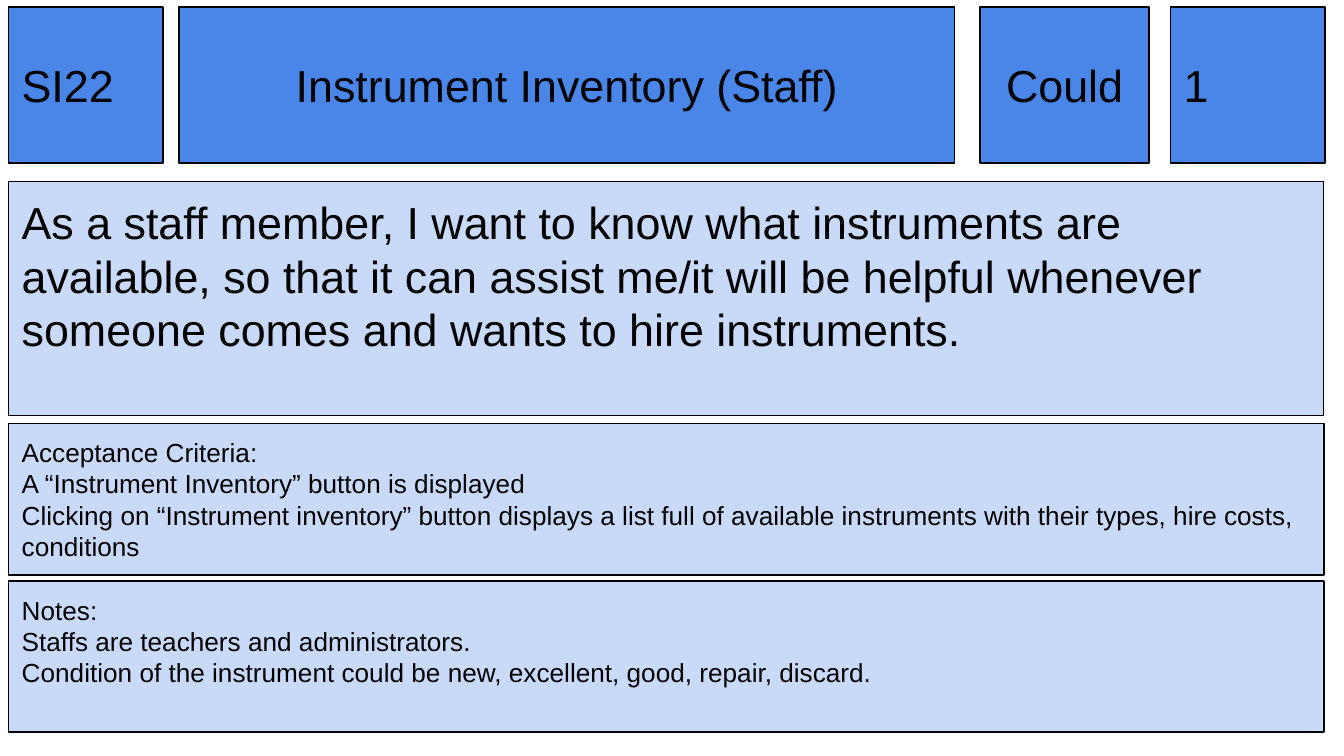
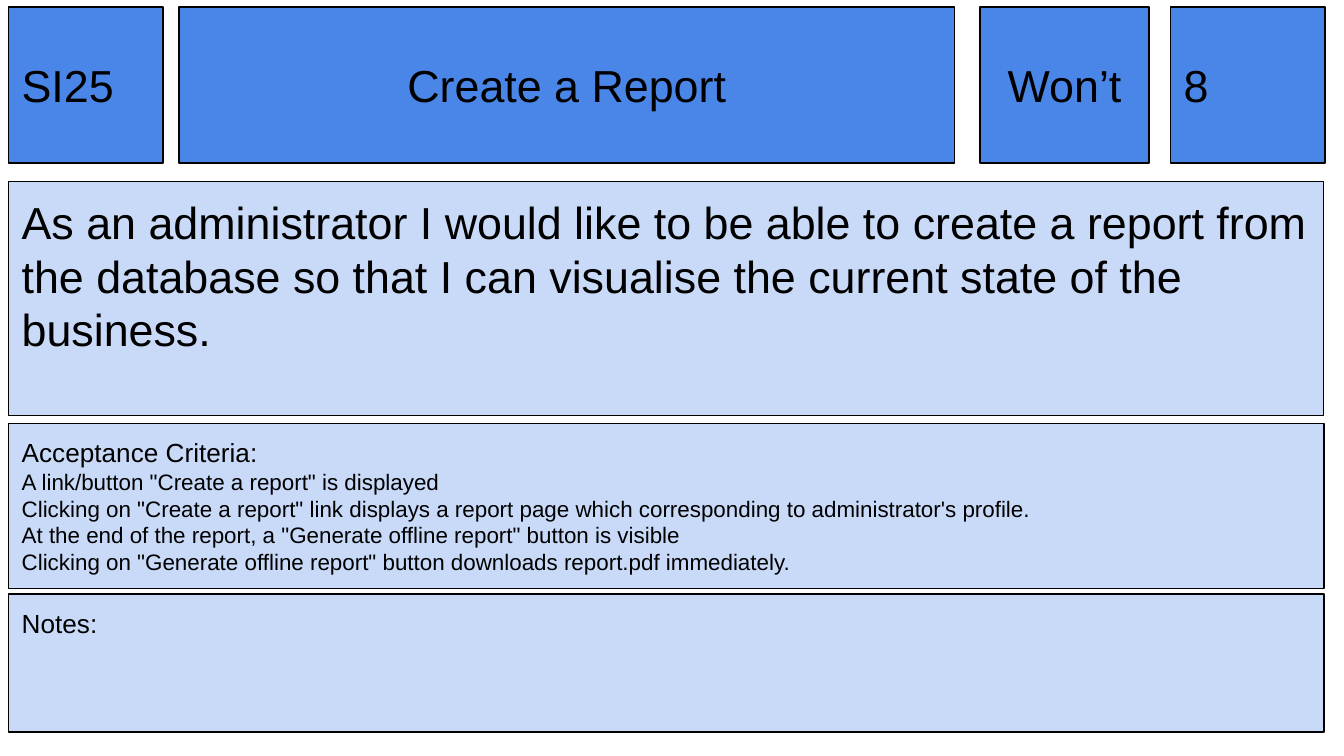
from dataclasses import dataclass

from lxml.etree import SubElement
from pptx import Presentation
from pptx.dml.color import RGBColor as RGB
from pptx.enum.shapes import MSO_SHAPE as Kind
from pptx.enum.text import MSO_ANCHOR as Anchor, MSO_AUTO_SIZE as Fit, PP_ALIGN as Align
from pptx.oxml.ns import qn
from pptx.util import Cm, Pt


@dataclass(frozen=True)
class Theme:
    font: str = "Arial"
    ink: RGB = RGB(0x00, 0x00, 0x00)
    band: RGB = RGB(0x4A, 0x86, 0xE8)
    pale: RGB = RGB(0xC9, 0xDA, 0xF8)
    large: int = 24
    body: int = 14
    small: int = 12
    rule: float = 0.75
    inset: float = 0.25


# Card grid, in cm
LEFT, WIDTH = 0.16, 24.86
HEAD_TOP, HEAD_H = 0.13, 2.95
STORY_TOP, STORY_H = 3.43, 4.42
TERMS_TOP, GAP, BOTTOM = 8.0, 0.11, 13.84
CODE_W, SIDE = 2.92, 22.12


def write(frame, lines, theme, size, first=None, align=Align.LEFT, anchor=Anchor.TOP):
    """Fill a frame with one paragraph a line; first sizes the opening line."""
    frame.word_wrap = True
    frame.auto_size = Fit.NONE
    frame.vertical_anchor = anchor
    frame.margin_left = frame.margin_right = Cm(theme.inset)
    frame.margin_top = frame.margin_bottom = Cm(theme.inset)
    for i, line in enumerate(lines):
        para = frame.paragraphs[0] if i == 0 else frame.add_paragraph()
        para.alignment = align
        para.space_before = para.space_after = Pt(0)
        props = para._p.get_or_add_pPr()
        props.set("marL", "0")
        props.set("indent", "0")
        SubElement(props, qn("a:buNone"))
        run = para.add_run()
        run.text = line
        run.font.name = theme.font
        run.font.size = Pt(first if first and i == 0 else size)
        run.font.color.rgb = theme.ink


class Deck:
    def __init__(self, theme):
        self.theme = theme
        self.prs = Presentation()
        self.prs.slide_width, self.prs.slide_height = Cm(25.4), Cm(14.29)
        self.slide = None

    def start(self):
        # Two Content layout: a title and two text bodies
        self.slide = self.prs.slides.add_slide(self.prs.slide_layouts[3])
        for item in list(self.slide.placeholders):
            if item.placeholder_format.idx > 2:
                item._element.getparent().remove(item._element)

    def dress(self, shape, area, fill, lines, size, **form):
        shape.left, shape.top, shape.width, shape.height = map(Cm, area)
        shape.fill.solid()
        shape.fill.fore_color.rgb = fill
        shape.line.color.rgb = self.theme.ink
        shape.line.width = Pt(self.theme.rule)
        write(shape.text_frame, lines, self.theme, size, **form)

    def box(self, area, fill, text, **form):
        shape = self.slide.shapes.add_shape(Kind.RECTANGLE, *map(Cm, area))
        shape.shadow.inherit = False
        self.dress(shape, area, fill, [text], self.theme.large, **form)

    def head(self, left, width, text, align=Align.LEFT):
        self.box((left, HEAD_TOP, width, HEAD_H), self.theme.band, text,
                 align=align, anchor=Anchor.MIDDLE)

    def title(self, left, width, text):
        self.dress(self.slide.shapes.title, (left, HEAD_TOP, width, HEAD_H),
                   self.theme.band, [text], self.theme.large,
                   align=Align.CENTER, anchor=Anchor.MIDDLE)

    def panel(self, idx, top, height, lines, size):
        self.dress(self.slide.placeholders[idx], (LEFT, top, WIDTH, height),
                   self.theme.pale, lines, size, first=self.theme.body)

    def card(self, code, name, rank, points, story, terms, notes, size, tall):
        self.start()
        # Header row
        self.head(LEFT, CODE_W, code)
        self.title(3.38, 14.66, name)
        self.head(18.52, 3.2, rank, align=Align.CENTER)
        self.head(SIDE, CODE_W, points)
        # Story, criteria and notes
        self.box((LEFT, STORY_TOP, WIDTH, STORY_H), self.theme.pale, story)
        self.panel(1, TERMS_TOP, tall, ["Acceptance Criteria:", *terms], size)
        top = TERMS_TOP + tall + GAP
        self.panel(2, top, BOTTOM - top, ["Notes:", *notes], self.theme.body)


def main():
    theme = Theme()
    deck = Deck(theme)
    deck.card(
        "SI22", "Instrument Inventory (Staff)", "Could", "1",
        "As a staff member, I want to know what instruments are available, so that "
        "it can assist me/it will be helpful whenever someone comes and wants to "
        "hire instruments.",
        ["A “Instrument Inventory” button is displayed",
         "Clicking on “Instrument inventory” button displays a list full of available "
         "instruments with their types, hire costs, conditions"],
        ["Staffs are teachers and administrators.",
         "Condition of the instrument could be new, excellent, good, repair, discard."],
        size=theme.body, tall=2.87)
    deck.card(
        "SI25", "Create a Report", "Won’t", "8",
        "As an administrator I would like to be able to create a report from the "
        "database so that I can visualise the current state of the business.",
        ['A link/button "Create a report" is displayed',
         'Clicking on "Create a report" link displays a report page which '
         "corresponding to administrator's profile.",
         'At the end of the report, a "Generate offline report" button is visible',
         'Clicking on "Generate offline report" button downloads report.pdf '
         "immediately."],
        [], size=theme.small, tall=3.12)
    deck.prs.save("out.pptx")


if __name__ == "__main__":
    main()
